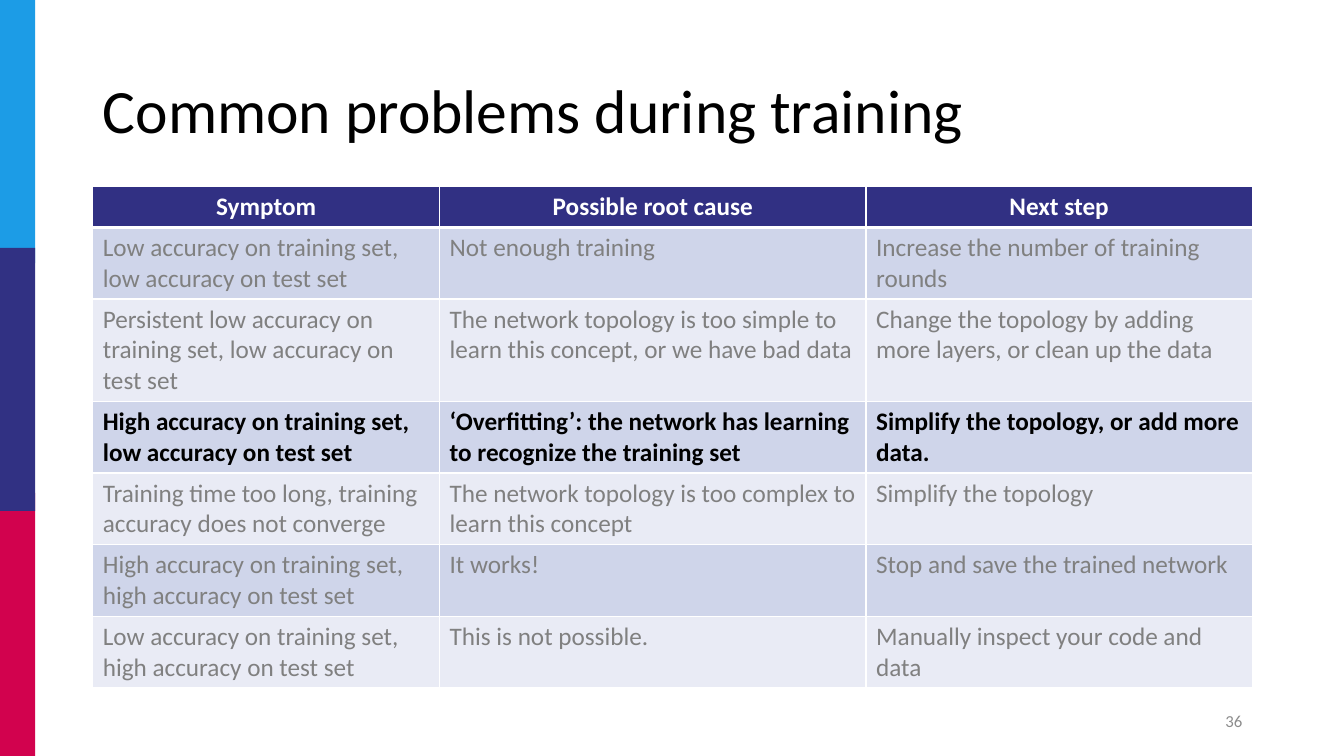
from dataclasses import dataclass

from lxml.etree import SubElement
from pptx import Presentation
from pptx.dml.color import RGBColor as Rgb
from pptx.enum.shapes import MSO_SHAPE as Kind
from pptx.enum.text import MSO_ANCHOR as Anchor, MSO_AUTO_SIZE as Fit, PP_ALIGN as Align
from pptx.oxml.ns import qn
from pptx.util import Inches, Pt

TITLE = "Common problems during training"
NUMBER = "36"
HEAD = ("Symptom", "Possible root cause", "Next step")
ROWS = [
    ("Low accuracy on training set, low accuracy on test set",
     "Not enough training",
     "Increase the number of training rounds"),
    ("Persistent low accuracy on training set, low accuracy on test set",
     "The network topology is too simple to learn this concept, or we have bad data",
     "Change the topology by adding more layers, or clean up the data"),
    ("High accuracy on training set, low accuracy on test set",
     "‘Overfitting’: the network has learning to recognize the training set",
     "Simplify the topology, or add more data."),
    ("Training time too long, training accuracy does not converge",
     "The network topology is too complex to learn this concept",
     "Simplify the topology"),
    ("High accuracy on training set, high accuracy on test set",
     "It works!",
     "Stop and save the trained network"),
    ("Low accuracy on training set, high accuracy on test set",
     "This is not possible.",
     "Manually inspect your code and data"),
]
FOCUS = 3  # table row that stands out
WIDTHS = (3.44, 4.23, 3.83)
HEAD_H, ROW_H = 0.35, 0.67
LEFT, WIDE = 0.92, 11.5
BAR_W, BAR_H = 0.35, 2.61


@dataclass(frozen=True)
class Theme:
    font: str = "Calibri"
    ink: str = "000000"
    white: str = "FFFFFF"
    dim: str = "808080"
    page: str = "8C8C8C"
    head: str = "313083"
    bands: tuple = ("E9EBF5", "CFD5EA")
    # top edge and colour, back to front
    bars: tuple = ((0, "1C9CE6"), (4.89, "D2024E"), (2.46, "313183"))
    title_pt: int = 44
    table_pt: int = 18
    page_pt: int = 12


THEME = Theme()


def style(para, size, color, bold=False, align=Align.LEFT):
    para.alignment = align
    font = para.font
    font.name, font.size, font.bold = THEME.font, Pt(size), bold
    font.color.rgb = Rgb.from_string(color)


def add_bars(slide):
    for top, color in THEME.bars:
        bar = slide.shapes.add_shape(
            Kind.RECTANGLE, 0, Inches(top), Inches(BAR_W), Inches(BAR_H))
        bar.shadow.inherit = False
        bar.fill.solid()
        bar.fill.fore_color.rgb = Rgb.from_string(color)
        bar.line.fill.background()


def add_title(slide):
    title = slide.shapes.title
    title.left, title.top = Inches(LEFT), Inches(0.4)
    title.width, title.height = Inches(WIDE), Inches(1.45)
    frame = title.text_frame
    frame.text = TITLE
    frame.auto_size = Fit.NONE
    frame.vertical_anchor = Anchor.MIDDLE
    para = frame.paragraphs[0]
    para.line_spacing = 0.9
    style(para, THEME.title_pt, THEME.ink)


def edge(cell, side, width):
    """Draw a white border on one side (L, R, T or B) of a cell."""
    props = cell._tc.get_or_add_tcPr()
    line = SubElement(props, qn(f"a:ln{side}"), w=str(Pt(width)))
    fill = SubElement(line, qn("a:solidFill"))
    SubElement(fill, qn("a:srgbClr"), val=THEME.white)


def set_cell(cell, text, row):
    is_head = row == 0
    for side in "LRTB":
        thick = (is_head and side == "B") or (row == 1 and side == "T")
        edge(cell, side, 3 if thick else 1)
    cell.fill.solid()
    fill = THEME.head if is_head else THEME.bands[row % 2]
    cell.fill.fore_color.rgb = Rgb.from_string(fill)
    cell.text = text
    para = cell.text_frame.paragraphs[0]
    if is_head:
        style(para, THEME.table_pt, THEME.white, True, Align.CENTER)
    else:
        focus = row == FOCUS
        style(para, THEME.table_pt, THEME.ink if focus else THEME.dim, focus)


def add_grid(slide):
    lines = [HEAD, *ROWS]
    tall = HEAD_H + ROW_H * len(ROWS)
    table = slide.shapes.add_table(
        len(lines), len(HEAD), Inches(LEFT), Inches(1.85),
        Inches(WIDE), Inches(tall)).table
    for col, width in zip(table.columns, WIDTHS):
        col.width = Inches(width)
    for row, texts in enumerate(lines):
        table.rows[row].height = Inches(ROW_H if row else HEAD_H)
        for col, text in enumerate(texts):
            set_cell(table.cell(row, col), text, row)


def add_number(slide):
    box = slide.shapes.add_textbox(
        Inches(LEFT + WIDE - 3), Inches(6.95), Inches(3), Inches(0.4))
    frame = box.text_frame
    frame.word_wrap = True
    frame.vertical_anchor = Anchor.MIDDLE
    frame.text = NUMBER
    style(frame.paragraphs[0], THEME.page_pt, THEME.page, align=Align.RIGHT)


def main():
    deck = Presentation()
    deck.slide_width, deck.slide_height = Inches(13.33), Inches(7.5)
    slide = deck.slides.add_slide(deck.slide_layouts.get_by_name("Title Only"))
    add_bars(slide)
    add_title(slide)
    add_grid(slide)
    add_number(slide)
    deck.save("out.pptx")


if __name__ == "__main__":
    main()
